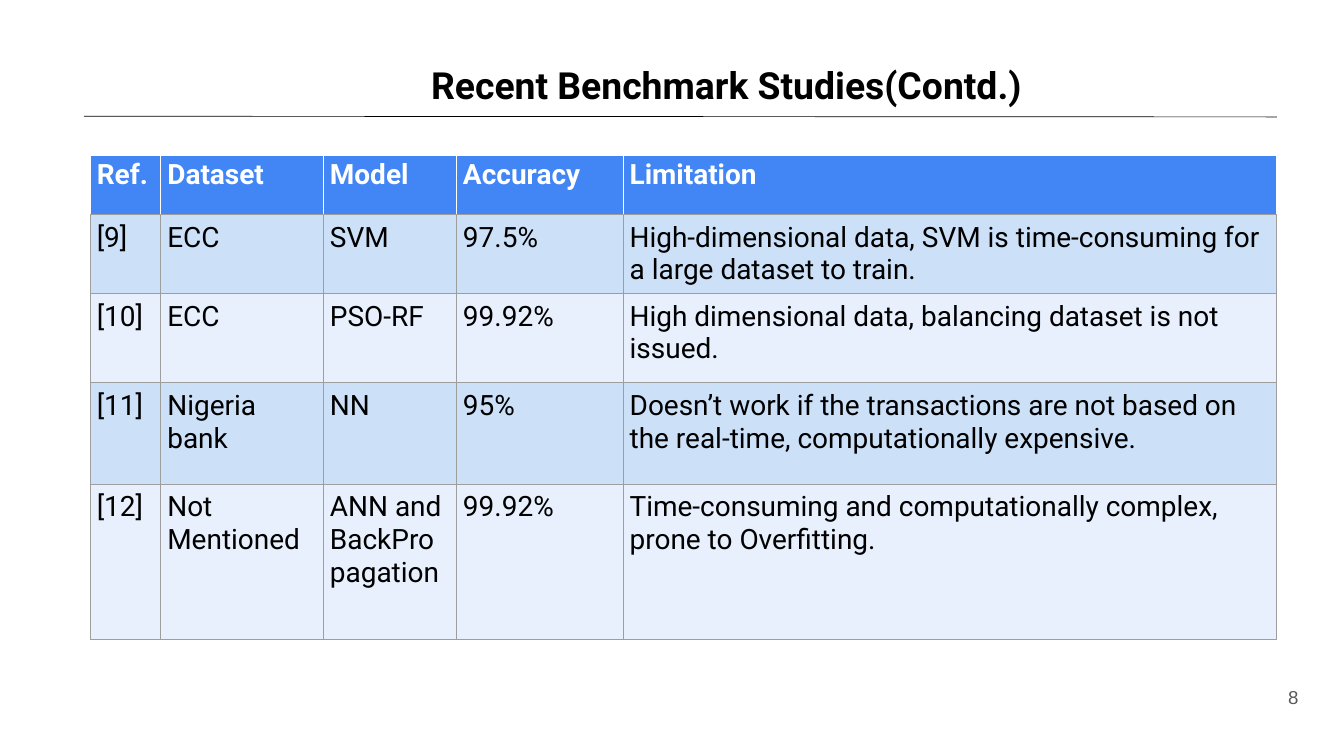
from typing import NamedTuple

from lxml import etree
from pptx import Presentation
from pptx.dml.color import RGBColor
from pptx.enum.shapes import MSO_CONNECTOR
from pptx.enum.text import MSO_ANCHOR, MSO_AUTO_SIZE, PP_ALIGN
from pptx.oxml.ns import qn
from pptx.util import Inches, Pt

STRAIGHT = MSO_CONNECTOR.STRAIGHT
TOP, MIDDLE = MSO_ANCHOR.TOP, MSO_ANCHOR.MIDDLE
CENTER, RIGHT = PP_ALIGN.CENTER, PP_ALIGN.RIGHT
NO_AUTOFIT = MSO_AUTO_SIZE.NONE

COLORS = {
    "text": "000000",
    "header": "4285F4",
    "header_text": "FFFFFF",
    "band_dark": "CCE0F8",
    "band_light": "E7F0FC",
    "grid": "9E9E9E",
    "page_number": "595959",
}


class Study(NamedTuple):
    ref: str
    dataset: str
    model: str
    accuracy: str
    limitation: str


HEADER = Study("Ref.", "Dataset", "Model", "Accuracy", "Limitation")
STUDIES = [
    Study("[9]", "ECC", "SVM", "97.5%",
          "High-dimensional data, SVM is time-consuming for a large dataset to train."),
    Study("[10]", "ECC", "PSO-RF", "99.92%",
          "High dimensional data, balancing dataset is not issued."),
    Study("[11]", "Nigeria bank", "NN", "95%",
          "Doesn’t work if the transactions are not based on the real-time, "
          "computationally expensive."),
    Study("[12]", "Not Mentioned", "ANN and BackPropagation", "99.92%",
          "Time-consuming and computationally complex, prone to Overfitting."),
]
COLUMN_WIDTHS = [1.05, 2.42, 1.98, 2.48, 9.72]
ROW_HEIGHTS = [0.88, 1.08, 1.33, 1.51, 2.31]


def set_font(paragraph, name: str, size: float, color: str, bold: bool = False) -> None:
    font = paragraph.font
    font.name, font.size, font.bold = name, Pt(size), bold
    font.color.rgb = RGBColor.from_string(COLORS[color])


def set_borders(cell, sides: dict[str, tuple[str, float]]) -> None:
    """Put the border lines, in schema order, ahead of the cell's fill."""
    properties = cell._tc.get_or_add_tcPr()
    for position, side in enumerate("LRTB"):
        color, width = sides[side]
        line = etree.Element(qn(f"a:ln{side}"), w=str(Pt(width)))
        fill = etree.SubElement(line, qn("a:solidFill"))
        etree.SubElement(fill, qn("a:srgbClr"), val=COLORS[color])
        properties.insert(position, line)


def fill_row(table, row: int, study: Study) -> None:
    is_header = row == 0
    band = "header" if is_header else "band_dark" if row % 2 else "band_light"
    grid, white = ("grid", 0.75), ("header_text", 1)
    sides = dict.fromkeys("LRTB", grid)
    if is_header:
        sides.update(dict.fromkeys("LRT", white))
    for column, value in enumerate(study):
        cell = table.cell(row, column)
        cell.text = value
        cell.margin_left = cell.margin_right = Inches(0.1)
        cell.margin_top = cell.margin_bottom = Inches(0.05 if is_header else 0.1)
        cell.fill.solid()
        cell.fill.fore_color.rgb = RGBColor.from_string(COLORS[band])
        set_borders(cell, sides)
        set_font(cell.text_frame.paragraphs[0], "Roboto", 30,
                 "header_text" if is_header else "text", is_header)


def add_title(slide) -> None:
    title = slide.shapes.title
    title.left, title.top = Inches(4.71), Inches(0.79)
    title.width, title.height = Inches(12.2), Inches(0.67)
    frame = title.text_frame
    frame.text = "Recent Benchmark Studies(Contd.)"
    frame.margin_left = frame.margin_right = frame.margin_top = frame.margin_bottom = 0
    frame.vertical_anchor, frame.auto_size = TOP, NO_AUTOFIT
    heading = frame.paragraphs[0]
    heading.alignment, heading.line_spacing = CENTER, 1.2
    set_font(heading, "Roboto", 40, "text", True)


def add_studies(slide) -> None:
    table = slide.shapes.add_table(
        len(ROW_HEIGHTS), len(COLUMN_WIDTHS), Inches(1.34), Inches(2.31),
        Inches(sum(COLUMN_WIDTHS)), Inches(sum(ROW_HEIGHTS))).table
    table.horz_banding = False
    for column, width in zip(table.columns, COLUMN_WIDTHS):
        column.width = Inches(width)
    for row, height in zip(table.rows, ROW_HEIGHTS):
        row.height = Inches(height)
    for row, study in enumerate([HEADER, *STUDIES]):
        fill_row(table, row, study)


def add_title_rule(slide) -> None:
    rule = slide.shapes.add_connector(
        STRAIGHT, Inches(1.25), Inches(1.73), Inches(19), Inches(1.74))
    rule.line.color.rgb = RGBColor.from_string(COLORS["text"])
    rule.line.width = Pt(0.75)
    etree.SubElement(rule._element.spPr, qn("a:effectLst"))


def add_page_number(slide) -> None:
    frame = slide.shapes.add_textbox(
        Inches(18.17), Inches(10.08), Inches(1.25), Inches(0.6)).text_frame
    frame.word_wrap = True
    frame.vertical_anchor = MIDDLE
    frame.text = "8"
    number = frame.paragraphs[0]
    number.alignment = RIGHT
    set_font(number, "Arial", 20, "page_number")


def main() -> None:
    prs = Presentation()
    prs.slide_width, prs.slide_height = Inches(20), Inches(11.25)
    slide = prs.slides.add_slide(prs.slide_layouts[5])  # title only

    # Heading and its rule
    add_title(slide)
    add_title_rule(slide)

    # Comparison of studies
    add_studies(slide)

    # Footer
    add_page_number(slide)
    prs.save("out.pptx")


if __name__ == "__main__":
    main()
